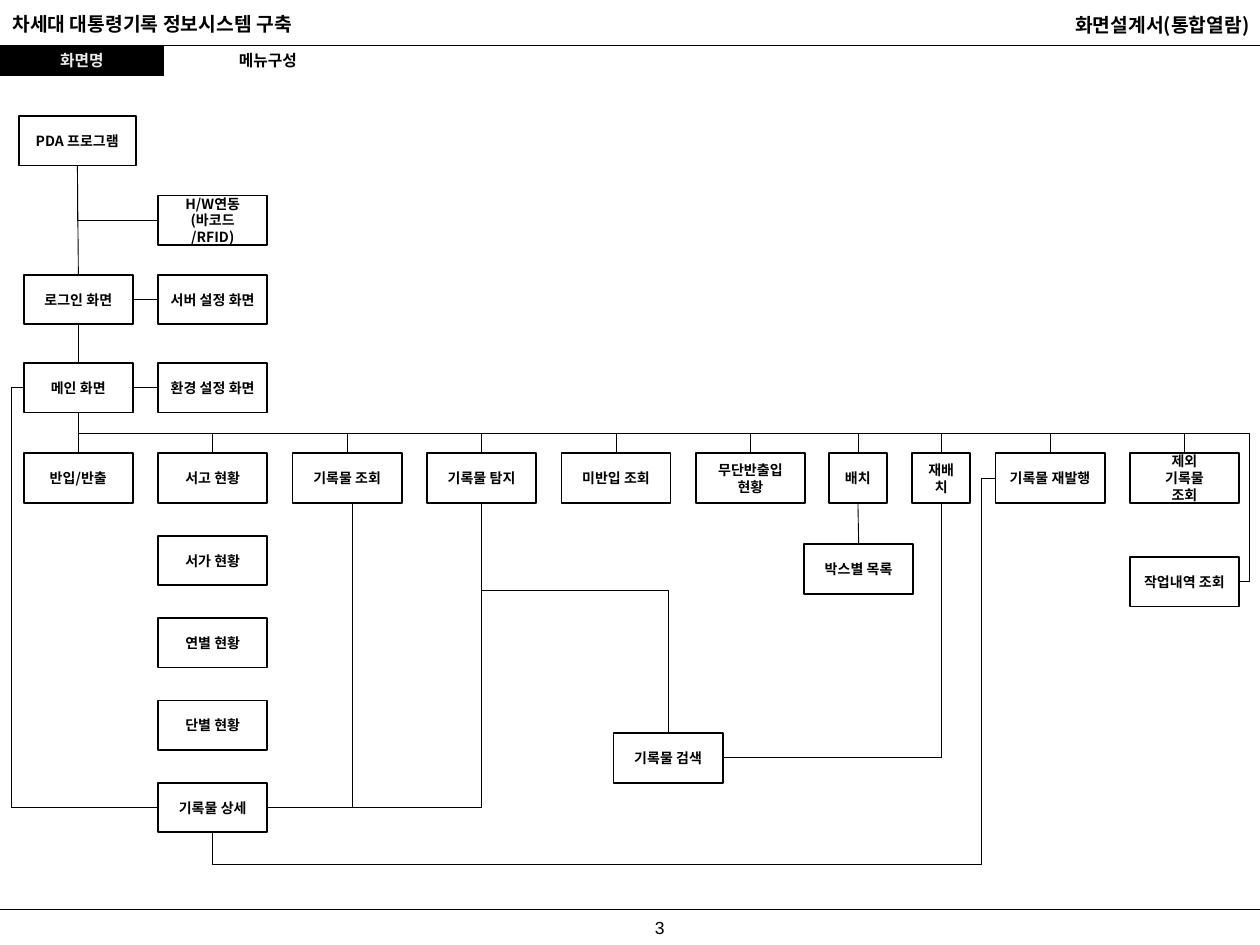
from dataclasses import dataclass
from typing import Optional

from lxml import etree
from pptx import Presentation
from pptx import util as u
from pptx.dml.color import RGBColor
from pptx.enum import shapes, text
from pptx.oxml.ns import qn

BLACK = RGBColor(0x00, 0x00, 0x00)
WHITE = RGBColor(0xFF, 0xFF, 0xFF)
LIGHT = RGBColor(0xEA, 0xEA, 0xEA)
KOREAN = "Noto Sans CJK KR"
TOP, LEFT, BOTTOM, RIGHT = range(4)
CENTER = text.PP_ALIGN.CENTER

# Grid of the menu tree, in centimetres
BOX_W, BOX_H = 2.2, 1.0
COL, COL_STEP = 0.48, 2.71
MENU_Y, ROW_STEP = 9.14, 1.66
BUS_Y = 8.74


@dataclass
class Box:
    label: str
    x: float
    y: float
    w: float = BOX_W


@dataclass
class Link:
    start: str
    start_site: int
    end: str
    end_site: int
    bends: tuple[float, ...] = ()  # where an elbow turns, alternating x and y
    start_x: Optional[float] = None  # for a start away from the middle of the side
    straight: bool = False


def col(i: int) -> float:
    return COL + i * COL_STEP


def write(sp, label: str, size: float, color: RGBColor = BLACK, align=CENTER,
          font: str = KOREAN, bold: bool = True, wrap: bool = True,
          anchor=text.MSO_ANCHOR.MIDDLE) -> None:
    tf = sp.text_frame
    tf.text = label
    tf.word_wrap = wrap
    tf.vertical_anchor = anchor
    for p in tf.paragraphs:
        p.alignment = align
        for r in p.runs:
            r.font.size, r.font.bold, r.font.name = u.Pt(size), bold, font
            r.font.color.rgb = color
            ea = etree.SubElement(r.font._element, qn("a:ea"))
            ea.set("typeface", font)


def place(sp, x: float, y: float, w: float, h: float) -> None:
    sp.left, sp.top, sp.width, sp.height = u.Cm(x), u.Cm(y), u.Cm(w), u.Cm(h)


def add_rect(s, x: float, y: float, w: float, h: float, fill: RGBColor, weight: float):
    sp = s.shapes.add_shape(shapes.MSO_SHAPE.RECTANGLE, u.Cm(x), u.Cm(y), u.Cm(w), u.Cm(h))
    sp.shadow.inherit = False
    sp.fill.solid()
    sp.fill.fore_color.rgb = fill
    sp.line.color.rgb = BLACK
    sp.line.width = u.Pt(weight)
    return sp


def add_header(s, label: str, x: float, y: float, w: float, h: float, **style) -> None:
    sp = s.shapes.add_textbox(u.Cm(x), u.Cm(y), u.Cm(w), u.Cm(h))
    write(sp, label, anchor=text.MSO_ANCHOR.TOP, **style)


def style_line(c, weight: float) -> None:
    c.line.color.rgb = BLACK
    c.line.width = u.Pt(weight)
    etree.SubElement(c._element.spPr, qn("a:effectLst"))


def shape_elbow(c, vertical: bool, bends: tuple[float, ...]) -> None:
    """Pick the bent preset, set its turning points and turn it if it starts downwards."""
    x1, y1, x2, y2 = c.begin_x, c.begin_y, c.end_x, c.end_y
    geom = c._element.spPr.find(qn("a:prstGeom"))
    geom.set("prst", f"bentConnector{len(bends) + 2}")
    axes = [(x1, x2), (y1, y2)]
    if vertical:
        axes.reverse()
    for i, (bend, (a, b)) in enumerate(zip(bends, axes), 1):
        gd = etree.SubElement(geom.find(qn("a:avLst")), qn("a:gd"))
        gd.set("name", f"adj{i}" if len(bends) + 2 > 2 else "adj")
        gd.set("fmla", f"val {round((u.Cm(bend) - a) / (b - a) * 100000)}")
    if vertical:
        w, h = abs(y2 - y1), abs(x2 - x1)
        c.left, c.top = (x1 + x2 - w) // 2, (y1 + y2 - h) // 2
        c.width, c.height = w, h
        xfrm = c._element.spPr.find(qn("a:xfrm"))
        xfrm.set("flipH", "1" if x2 > x1 else "0")
        xfrm.set("flipV", "0")
        c.rotation = 270 if x2 > x1 else 90


def add_link(s, link: Link, nodes: dict) -> None:
    kind = shapes.MSO_CONNECTOR.STRAIGHT if link.straight else shapes.MSO_CONNECTOR.ELBOW
    start, end = nodes[link.start], nodes[link.end]
    c = s.shapes.add_connector(kind, 0, 0, 0, 0)
    c.begin_connect(start, link.start_site) if link.start_x is None else None
    c.end_connect(end, link.end_site)
    if link.start_x is not None:
        c.begin_x, c.begin_y = u.Cm(link.start_x), start.top + start.height
    if not link.straight:
        shape_elbow(c, link.start_site in (TOP, BOTTOM), link.bends)
    style_line(c, 0.5)


MENU = [Box(label, col(i), MENU_Y) for i, label in enumerate(
    ["반입/반출", "서고 현황", "기록물 조회", "기록물 탐지", "미반입 조회", "무단반출입 현황"])]
MENU += [
    Box("배치", 16.71, MENU_Y, 1.17),
    Box("재배치", 18.39, MENU_Y, 1.17),
    Box("기록물 재발행", 20.07, MENU_Y),
    Box("제외\n기록물\n조회", 22.78, MENU_Y),
]
STATUS = [Box(label, col(1), MENU_Y + i * ROW_STEP) for i, label in enumerate(
    ["서가 현황", "연별 현황", "단별 현황", "기록물 상세"], 1)]
BOXES = [
    Box("PDA 프로그램", 0.38, 2.34, 2.36),
    Box("H/W연동\n(바코드\n/RFID)", col(1), 3.94),
    Box("로그인 화면", col(0), 5.54),
    Box("서버 설정 화면", col(1), 5.54),
    Box("메인 화면", col(0), 7.32),
    Box("환경 설정 화면", col(1), 7.32),
    *MENU,
    *STATUS,
    Box("박스별 목록", 16.21, 10.97),
    Box("작업내역 조회", 22.78, 11.23),
    Box("기록물 검색", 12.37, 14.78),
]
LINKS = [
    Link("PDA 프로그램", BOTTOM, "로그인 화면", TOP, straight=True),
    Link("PDA 프로그램", BOTTOM, "H/W연동\n(바코드\n/RFID)", LEFT),
    Link("로그인 화면", RIGHT, "서버 설정 화면", LEFT, straight=True),
    Link("로그인 화면", BOTTOM, "메인 화면", TOP, straight=True),
    Link("메인 화면", RIGHT, "환경 설정 화면", LEFT, straight=True),
    Link("메인 화면", BOTTOM, "반입/반출", TOP, straight=True),
    *[Link("메인 화면", BOTTOM, b.label, TOP, (BUS_Y,)) for b in MENU[1:]],
    Link("메인 화면", BOTTOM, "작업내역 조회", RIGHT, (BUS_Y, 25.2)),
    Link("메인 화면", LEFT, "기록물 상세", LEFT, (0.23,)),
    Link("기록물 조회", BOTTOM, "기록물 상세", RIGHT, start_x=7.1),
    Link("기록물 탐지", BOTTOM, "기록물 상세", RIGHT),
    Link("기록물 탐지", BOTTOM, "기록물 검색", TOP, (11.9,)),
    Link("기록물 재발행", LEFT, "기록물 상세", BOTTOM, (19.79, 17.42)),
    Link("배치", BOTTOM, "박스별 목록", TOP, straight=True),
    Link("재배치", BOTTOM, "기록물 검색", RIGHT),
]


def main() -> None:
    prs = Presentation()
    prs.slide_width, prs.slide_height = u.Cm(25.4), u.Cm(19.05)
    s = prs.slides.add_slide(prs.slide_layouts[5])

    # Header and footer
    for y in (0.92, 18.33):
        style_line(s.shapes.add_connector(
            shapes.MSO_CONNECTOR.STRAIGHT, 0, u.Cm(y), prs.slide_width, u.Cm(y)), 0.75)
    add_header(s, "차세대 대통령기록 정보시스템 구축", 0, 0.12, 11.3, 0.73,
               size=11, align=text.PP_ALIGN.LEFT)
    add_header(s, "화면설계서(통합열람)", 14.9, 0.15, 10.54, 0.71,
               size=11, align=text.PP_ALIGN.RIGHT)
    add_header(s, "3", 12.12, 18.36, 2.36, 0.69, size=10, font="Arial", bold=False)

    # Screen name and its title
    write(add_rect(s, 0, 0.92, 3.3, 0.6, BLACK, 0.75), "화면명", 9, LIGHT, wrap=False)
    place(s.shapes.title, 3.3, 0.92, 4.2, 0.6)
    write(s.shapes.title, "메뉴구성", 9, wrap=False)

    # Menu tree
    nodes = {}
    for b in BOXES:
        nodes[b.label] = add_rect(s, b.x, b.y, b.w, BOX_H, WHITE, 1)
        write(nodes[b.label], b.label, 8)
    for link in LINKS:
        add_link(s, link, nodes)

    prs.save("out.pptx")


if __name__ == "__main__":
    main()
